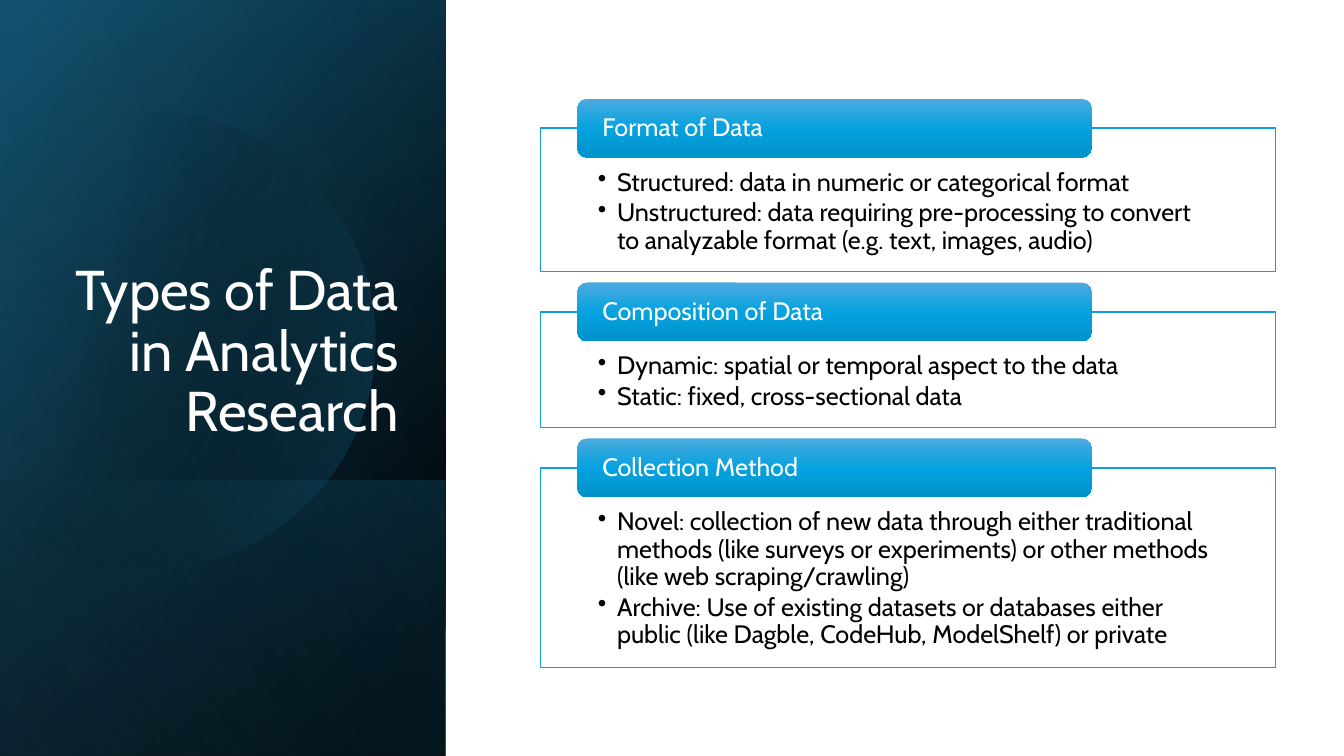
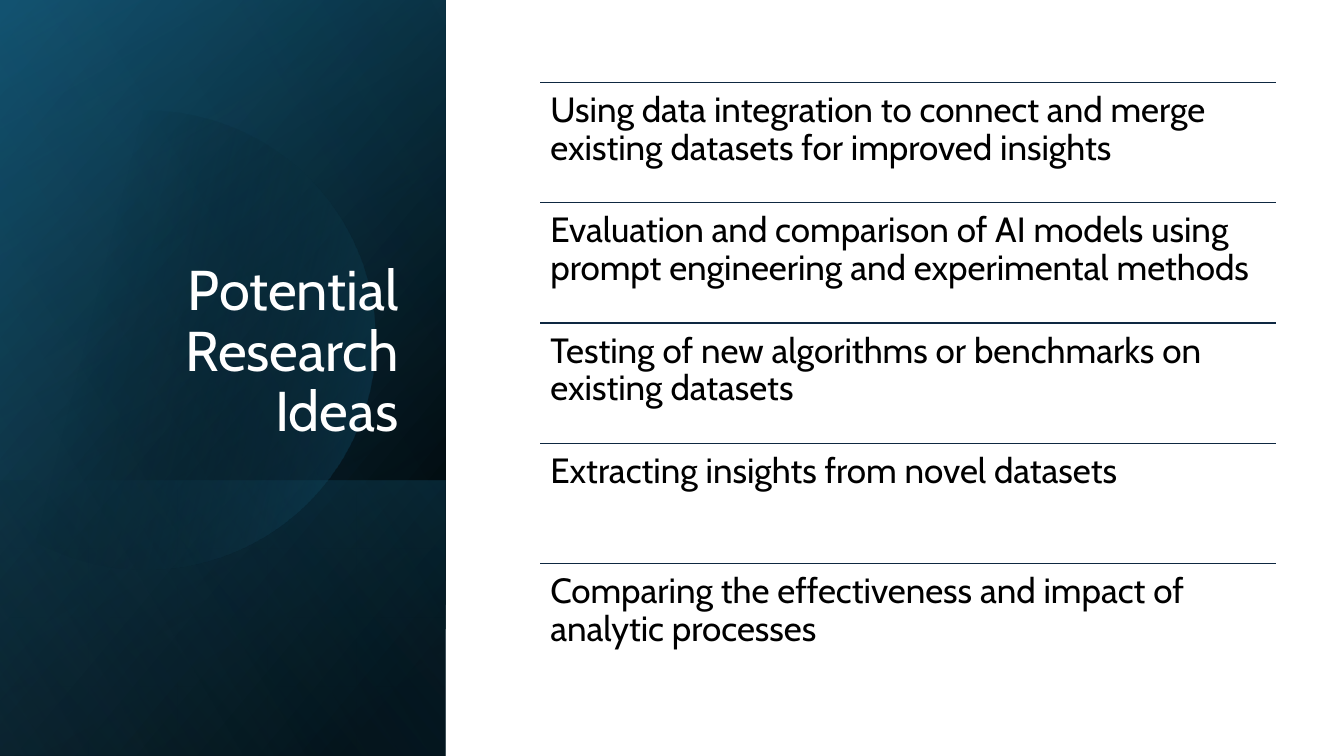
from math import acos, cos, pi, sin

from lxml import etree
from pptx import Presentation
from pptx.dml.color import RGBColor
from pptx.enum.shapes import MSO_CONNECTOR, MSO_SHAPE
from pptx.enum.text import MSO_ANCHOR, MSO_AUTO_SIZE, PP_ALIGN
from pptx.oxml.ns import qn
from pptx.util import Cm, Pt

RECTANGLE = MSO_SHAPE.RECTANGLE
ROUNDED = MSO_SHAPE.ROUNDED_RECTANGLE
STRAIGHT = MSO_CONNECTOR.STRAIGHT
TOP, MIDDLE, BOTTOM = MSO_ANCHOR.TOP, MSO_ANCHOR.MIDDLE, MSO_ANCHOR.BOTTOM
LEFT, RIGHT = PP_ALIGN.LEFT, PP_ALIGN.RIGHT

# Content
TYPES_TITLE = "Types of Data in Analytics Research"
TYPES = [  # heading, card height in cm, bullets
    ("Format of Data", 3.62, [
        "Structured: data in numeric or categorical format",
        "Unstructured: data requiring pre-processing to convert to "
        "analyzable format (e.g. text, images, audio)",
    ]),
    ("Composition of Data", 2.92, [
        "Dynamic: spatial or temporal aspect to the data",
        "Static: fixed, cross-sectional data",
    ]),
    ("Collection Method", 5.03, [
        "Novel: collection of new data through either traditional methods "
        "(like surveys or experiments) or other methods "
        "(like web scraping/crawling)",
        "Archive: Use of existing datasets or databases either public "
        "(like Dagble, CodeHub, ModelShelf) or private",
    ]),
]
IDEAS_TITLE = "Potential Research Ideas"
IDEAS = [
    "Using data integration to connect and merge existing datasets "
    "for improved insights",
    "Evaluation and comparison of AI models using prompt engineering "
    "and experimental methods",
    "Testing of new algorithms or benchmarks on existing datasets",
    "Extracting insights from novel datasets",
    "Comparing the effectiveness and impact of analytic processes",
]

# Style, lengths in cm
FONT = "Cabin"
COLORS = {
    "white": "FFFFFF", "black": "000000", "navy": "0E2841",
    "deep": "104862", "teal": "156082", "sky": "46B1E1", "border": "0F9ED5",
    "head_top": "4CAADF", "head_mid": "05A2DF", "head_low": "0092CB",
}
SLIDE_W, SLIDE_H = 33.87, 19.05
PANEL_W, STRIP_TOP = 11.23, 12.1
CIRCLE_X, CIRCLE_Y, CIRCLE_R = 3.68, 8.57, 5.79
TITLE_BOX = (1.63, 4.67, 8.66, 6.65)
CONTENT_X, CONTENT_W = 13.62, 18.53
CARD_TOP, CARD_GAP = 3.23, 1.01
HEAD_INDENT, HEAD_W, HEAD_H = 0.93, 12.96, 1.48
IDEA_TOP, IDEA_H = 2.08, 3.03
BULLET_INDENT = 0.48

# Gradients: angle, then stops of position, colour and opacity in percent
PANEL_BASE = (220, [(8, "black", 100), (100, "deep", 100)])
PANEL_TINT = (240, [(0, "black", 0), (99, "teal", 46)])
STRIP_TINT = (140, [(2, "teal", 29), (100, "black", 30)])
CIRCLE_TINT = (14, [(29, "black", 0), (100, "teal", 43)])
PANEL_GLOW = (150, [(0, "black", 0), (99, "sky", 11)])
HEAD_FILL = (90, [(0, "head_top", 100), (50, "head_mid", 100),
                  (100, "head_low", 100)])


def rgb(name):
    return RGBColor.from_string(COLORS[name])


def lengths(*values):
    return [Cm(value) for value in values]


def fill_gradient(shape, gradient):
    angle, stops = gradient
    shape.shadow.inherit = False
    shape.line.fill.background()
    shape.fill.gradient()
    grad = shape.element.spPr.find(qn("a:gradFill"))
    for child in list(grad):
        grad.remove(child)
    stop_list = etree.SubElement(grad, qn("a:gsLst"))
    for position, name, opacity in stops:
        stop = etree.SubElement(stop_list, qn("a:gs"), pos=str(position * 1000))
        color = etree.SubElement(stop, qn("a:srgbClr"), val=COLORS[name])
        if opacity < 100:
            etree.SubElement(color, qn("a:alpha"), val=str(opacity * 1000))
    etree.SubElement(grad, qn("a:lin"), ang=str(angle * 60000), scaled="0")


def add_bullet(para):
    props = para._p.get_or_add_pPr()
    props.set("marL", str(Cm(BULLET_INDENT)))
    props.set("indent", str(-Cm(BULLET_INDENT)))
    etree.SubElement(props, qn("a:buChar"), char="•")


def write(shape, texts, size, color, insets, anchor=TOP, align=LEFT,
          bullets=False, gap=0):
    frame = shape.text_frame
    frame.word_wrap = True
    frame.auto_size = MSO_AUTO_SIZE.NONE
    frame.vertical_anchor = anchor
    (frame.margin_left, frame.margin_top,
     frame.margin_right, frame.margin_bottom) = lengths(*insets)
    for index, text in enumerate(texts):
        para = frame.add_paragraph() if index else frame.paragraphs[0]
        para.text = text
        if bullets:
            add_bullet(para)
        para.alignment = align
        para.line_spacing = 0.9
        para.space_before = Pt(0)
        para.space_after = Pt(gap)
        para.font.name = FONT
        para.font.size = Pt(size)
        para.font.color.rgb = rgb(color)


def add_circle(page):
    """Circle cut off by the left edge of the slide."""
    reach = acos(-CIRCLE_X / CIRCLE_R)
    steps = 120
    angles = [reach * (2 * step / steps - 1) for step in range(steps + 1)]
    points = [(Cm(CIRCLE_X + CIRCLE_R * cos(angle)),
               Cm(CIRCLE_Y + CIRCLE_R * sin(angle))) for angle in angles]
    builder = page.shapes.build_freeform(*points[0])
    builder.add_line_segments(points[1:], close=True)
    return builder.convert_to_shape()


def dress_layout(layout, page):
    """Draw the side panel on a page and move it to the shared layout."""
    full = (0, 0, PANEL_W, SLIDE_H)
    strip = (0, STRIP_TOP, PANEL_W, SLIDE_H - STRIP_TOP)
    parts = [(full, PANEL_BASE), (full, PANEL_TINT), (strip, STRIP_TINT),
             (None, CIRCLE_TINT), (full, PANEL_GLOW)]
    for index, (area, gradient) in enumerate(parts):
        if area:
            shape = page.shapes.add_shape(RECTANGLE, *lengths(*area))
        else:
            shape = add_circle(page)
        fill_gradient(shape, gradient)
        shape.element.nvSpPr.cNvPr.set("id", str(100 + index))
        layout.shapes.element.insert(2 + index, shape.element)
    title = layout.placeholders[0]
    title.left, title.top, title.width, title.height = lengths(*TITLE_BOX)


def add_page(deck, layout, title):
    page = deck.slides.add_slide(layout)
    write(page.shapes.title, [title], 40, "white", (0.25, 0.13, 0.25, 0.13),
          BOTTOM, RIGHT)
    return page


def add_card(page, top, heading, height, bullets):
    card = page.shapes.add_shape(
        RECTANGLE, *lengths(CONTENT_X, top, CONTENT_W, height))
    card.shadow.inherit = False
    card.fill.solid()
    card.fill.fore_color.rgb = rgb("white")
    card.line.color.rgb = rgb("border")
    card.line.width = Pt(1)
    write(card, bullets, 18, "black", (1.45, 1.04, 1.45, 0.36),
          bullets=True, gap=2.5)
    head = page.shapes.add_shape(
        ROUNDED, *lengths(CONTENT_X + HEAD_INDENT, top - HEAD_H / 2,
                          HEAD_W, HEAD_H))
    fill_gradient(head, HEAD_FILL)
    write(head, [heading], 18, "white", (0.56, 0, 0.56, 0), MIDDLE)


def add_idea(page, top, text):
    rule = page.shapes.add_connector(
        STRAIGHT, *lengths(CONTENT_X, top, CONTENT_X + CONTENT_W, top))
    rule.line.color.rgb = rgb("navy")
    rule.line.width = Pt(1)
    etree.SubElement(rule.element.spPr, qn("a:effectLst"))
    box = page.shapes.add_textbox(
        *lengths(CONTENT_X, top, CONTENT_W, IDEA_H))
    write(box, [text], 25, "black", (0.25,) * 4)


def main():
    deck = Presentation()
    deck.slide_width, deck.slide_height = lengths(SLIDE_W, SLIDE_H)
    layout = deck.slide_layouts[5]

    # Types of data
    page = add_page(deck, layout, TYPES_TITLE)
    dress_layout(layout, page)
    top = CARD_TOP
    for heading, height, bullets in TYPES:
        add_card(page, top, heading, height, bullets)
        top += height + CARD_GAP

    # Research ideas
    page = add_page(deck, layout, IDEAS_TITLE)
    for index, text in enumerate(IDEAS):
        add_idea(page, IDEA_TOP + index * IDEA_H, text)

    deck.save("out.pptx")


if __name__ == "__main__":
    main()
